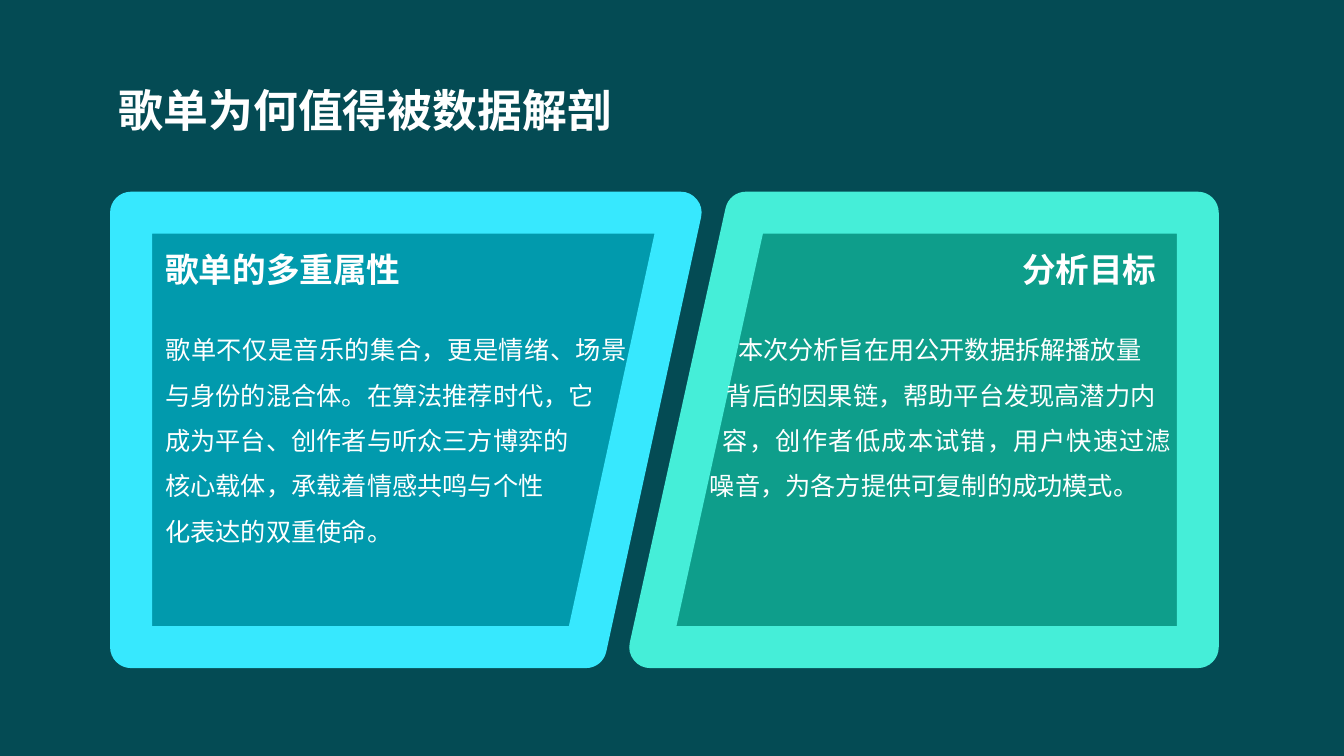
"""Build a slide with two slanted panels on why playlists deserve data analysis."""
from dataclasses import dataclass

import lxml.etree
import pptx
import pptx.dml.color
import pptx.enum.text
import pptx.oxml.ns
import pptx.slide
import pptx.util

PX = 9144
FONT = "Noto Sans CJK SC"
ALIGN = pptx.enum.text.PP_ALIGN
ANCHOR = pptx.enum.text.MSO_ANCHOR
COLOURS = {
    "background": "044B54",
    "text": "FFFFFF",
    "blue": "019AAD",
    "cyan": "37E8FE",
    "green": "0E9E8B",
    "mint": "45EED8",
}


@dataclass(frozen=True)
class Panel:
    corners: tuple[tuple[int, int], ...]
    fill: str
    border: str


@dataclass(frozen=True)
class Label:
    left: int
    top: int
    width: int
    height: int
    size: int
    lines: tuple[str, ...]
    bold: bool = False
    align: ALIGN = ALIGN.JUSTIFY
    anchor: ANCHOR = ANCHOR.TOP
    inset: tuple[int, int] = (0, 0)
    spacing: float = 1.0
    indents: tuple[int, ...] = (0, 0, 0, 0)


TOP, BOTTOM = 211, 642
PANELS = (
    Panel(((130, TOP), (675, TOP), (581, BOTTOM), (130, BOTTOM)), "blue", "cyan"),
    Panel(((740, TOP), (1188, TOP), (1188, BOTTOM), (645, BOTTOM)), "green", "mint"),
)
LABELS = (
    Label(108, 77, 1152, 64, 32, ("歌单为何值得被数据解剖",), bold=True, inset=(10, 5)),
    Label(164, 247, 540, 40, 24, ("歌单的多重属性",), bold=True, anchor=ANCHOR.BOTTOM),
    Label(164, 317, 458, 227, 18, (
        "歌单不仅是音乐的集合，更是情绪、场景与身份的混合体。在算法推荐时代，它",
        "成为平台、创作者与听众三方博弈的",
        "核心载体，承载着情感共鸣与个性",
        "化表达的双重使命。",
    ), spacing=1.5),
    Label(642, 247, 505, 40, 24, ("分析目标",), bold=True,
          align=ALIGN.RIGHT, anchor=ANCHOR.BOTTOM),
    Label(704, 317, 458, 182, 18, (
        "本次分析旨在用公开数据拆解播放量",
        "背后的因果链，帮助平台发现高潜力内",
        "容，创作者低成本试错，用户快速过滤噪音，为各方提供可复制的成功模式。",
    ), spacing=1.5, indents=(28, 17, 13)),
)


def colour(name: str) -> pptx.dml.color.RGBColor:
    return pptx.dml.color.RGBColor.from_string(COLOURS[name])


def draw_panel(page: pptx.slide.Slide, panel: Panel) -> None:
    start, *others = panel.corners
    builder = page.shapes.build_freeform(*start, scale=PX)
    builder.add_line_segments(others, close=True)
    shape = builder.convert_to_shape()
    shape.shadow.inherit = False
    shape.fill.solid()
    shape.fill.fore_color.rgb = colour(panel.fill)
    shape.line.color.rgb = colour(panel.border)
    shape.line.width = pptx.util.Pt(30)
    outline = shape.line.color._xFill.getparent()
    lxml.etree.SubElement(outline, pptx.oxml.ns.qn("a:round"))


def draw_label(page: pptx.slide.Slide, label: Label) -> None:
    box = page.shapes.add_textbox(
        label.left * PX, label.top * PX, label.width * PX, label.height * PX)
    frame = box.text_frame
    frame.word_wrap = True
    frame.auto_size = pptx.enum.text.MSO_AUTO_SIZE.SHAPE_TO_FIT_TEXT
    frame.vertical_anchor = label.anchor
    frame.margin_left = frame.margin_right = label.inset[0] * PX
    frame.margin_top = frame.margin_bottom = label.inset[1] * PX
    frame.text = "\n".join(label.lines)
    for para, indent in zip(frame.paragraphs, label.indents):
        para.alignment = label.align
        para.line_spacing = label.spacing
        para.font.size = pptx.util.Pt(label.size)
        para.font.bold = label.bold
        para.font.color.rgb = colour("text")
        para.font.name = FONT
        properties = para._p.get_or_add_pPr()
        properties.set("indent", str(indent * PX))
        defaults = properties.find(pptx.oxml.ns.qn("a:defRPr"))
        lxml.etree.SubElement(defaults, pptx.oxml.ns.qn("a:ea"), typeface=FONT)


def main() -> None:
    deck = pptx.Presentation()
    deck.slide_width = 1333 * PX
    deck.slide_height = 750 * PX
    page = deck.slides.add_slide(deck.slide_layouts[6])
    page.background.fill.solid()
    page.background.fill.fore_color.rgb = colour("background")
    for panel in PANELS:
        draw_panel(page, panel)
    for label in LABELS:
        draw_label(page, label)
    deck.save("out.pptx")


if __name__ == "__main__":
    main()
